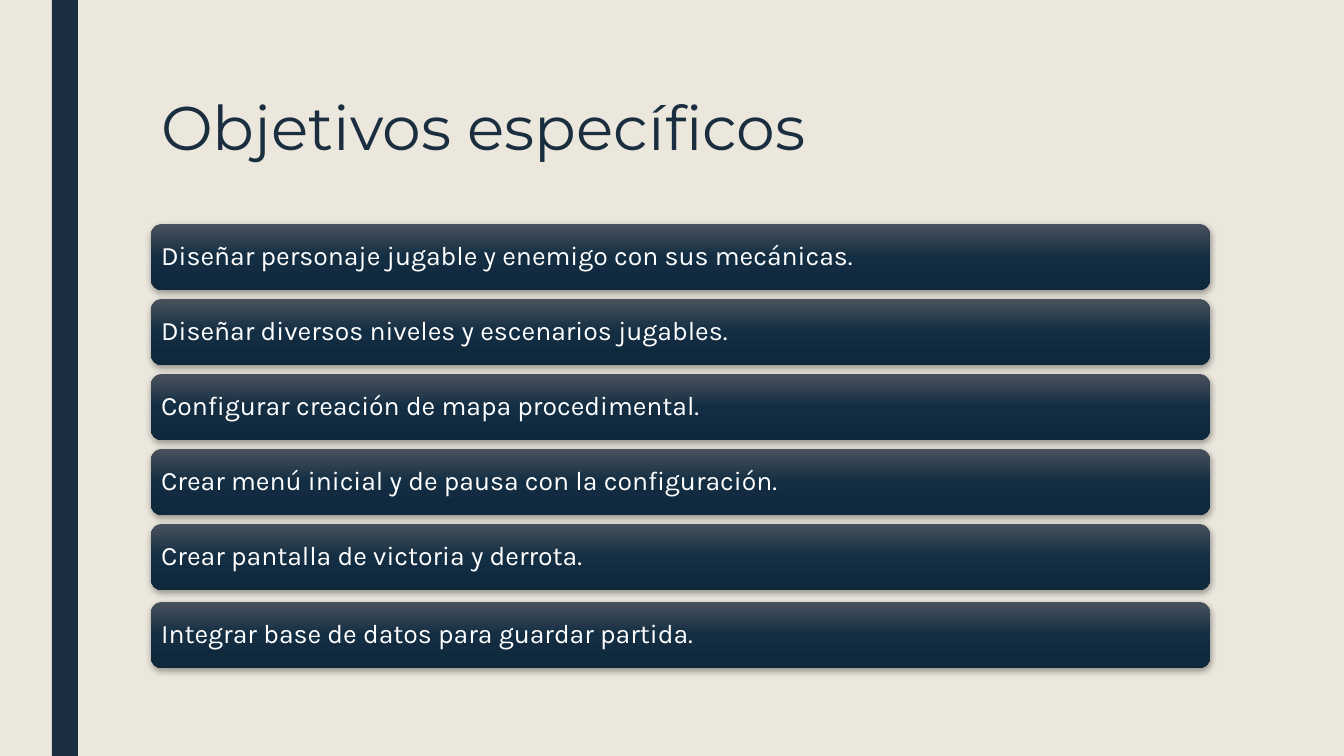
import pptx
import pptx.util
import pptx.oxml
import pptx.oxml.ns
import pptx.dml.color
import pptx.enum.shapes
import pptx.enum.text

NAVY = "1A2E40"
CREAM = "EBE7DD"
WHITE = "FFFFFF"
STOPS = [(0, "49525D"), (50, "132D42"), (100, "0F283B")]
GOALS = [
    "Diseñar personaje jugable y enemigo con sus mecánicas.",
    "Diseñar diversos niveles y escenarios jugables.",
    "Configurar creación de mapa procedimental.",
    "Crear menú inicial y de pausa con la configuración.",
    "Crear pantalla de victoria y derrota.",
    "Integrar base de datos para guardar partida.",
]
WIDE, HIGH = 1344, 756
LEFT, TOP, STEP = 151, 224, 75
LAST = 602  # the last bar sits slightly below the even rhythm


def px(n):
    return pptx.util.Emu(round(n * 914400 / 100.8))


def color(code):
    return pptx.dml.color.RGBColor.from_string(code)


def node(xml):
    """Parse XML after declaring the drawing namespace on its root."""
    return pptx.oxml.parse_xml(xml.replace(" ", f" {pptx.oxml.ns.nsdecls('a')} ", 1))


class Deck:
    head = "Montserrat"
    body = "Karla"

    def __init__(self):
        self.file = pptx.Presentation()
        self.file.slide_width, self.file.slide_height = px(WIDE), px(HIGH)
        self.slide = self.file.slides.add_slide(self.file.slide_layouts[5])
        back = self.slide.background.fill
        back.solid()
        back.fore_color.rgb = color(CREAM)

    def label(self, frame, text, font, size, ink, space, anchor, inset):
        frame.word_wrap = True
        frame.auto_size = pptx.enum.text.MSO_AUTO_SIZE.NONE
        frame.vertical_anchor = anchor
        frame.margin_left = frame.margin_right = px(inset[0])
        frame.margin_top = frame.margin_bottom = px(inset[1])
        para = frame.paragraphs[0]
        para.alignment = pptx.enum.text.PP_ALIGN.LEFT
        para.line_spacing = space
        run = para.add_run()
        run.text = text
        run.font.name = font
        run.font.size = pptx.util.Pt(size)
        run.font.color.rgb = color(ink)

    def title(self, text, x, y, w, h):
        box = self.slide.shapes.title
        box.left, box.top, box.width, box.height = map(px, (x, y, w, h))
        self.label(box.text_frame, text, self.head, 44, NAVY, 0.89,
                   pptx.enum.text.MSO_ANCHOR.TOP, (10, 5))

    def shape(self, kind, x, y, w, h):
        item = self.slide.shapes.add_shape(kind, *map(px, (x, y, w, h)))
        item.shadow.inherit = False
        item.line.fill.background()
        return item

    def stripe(self, x, y, w, h):
        item = self.shape(pptx.enum.shapes.MSO_SHAPE.RECTANGLE, x, y, w, h)
        item.fill.solid()
        item.fill.fore_color.rgb = color(NAVY)

    def bar(self, text, x, y, w, h):
        item = self.shape(pptx.enum.shapes.MSO_SHAPE.ROUNDED_RECTANGLE, x, y, w, h)
        item.adjustments[0] = 0.167
        self.shade(item)
        self.glow(item)
        self.label(item.text_frame, text, self.body, 19, WHITE, 0.9,
                   pptx.enum.text.MSO_ANCHOR.MIDDLE, (7, 5))

    def shade(self, item):
        """Fill with the vertical gradient of STOPS."""
        item.fill.gradient()
        item.fill.gradient_angle = 270
        stops = item.element.spPr.find(".//" + pptx.oxml.ns.qn("a:gsLst"))
        for old in list(stops):
            stops.remove(old)
        for spot, code in STOPS:
            stops.append(node(f'<a:gs pos="{spot * 1000}"><a:srgbClr val="{code}"/></a:gs>'))

    def glow(self, item):
        """Cast a soft shadow straight down."""
        effect = item.element.spPr.find(pptx.oxml.ns.qn("a:effectLst"))
        effect.append(node(
            '<a:outerShdw blurRad="57150" dist="19050" dir="5400000" '
            'algn="ctr" rotWithShape="0"><a:srgbClr val="000000">'
            '<a:alpha val="35000"/></a:srgbClr></a:outerShdw>'))


def main():
    deck = Deck()
    deck.stripe(52, 0, 26, HIGH)
    deck.title("Objetivos específicos", LEFT, 93, 856, 105)
    tops = [TOP + STEP * i for i in range(len(GOALS) - 1)] + [LAST]
    for goal, top in zip(GOALS, tops):
        deck.bar(goal, LEFT, top, 1059, 66)
    deck.file.save("out.pptx")


if __name__ == "__main__":
    main()
